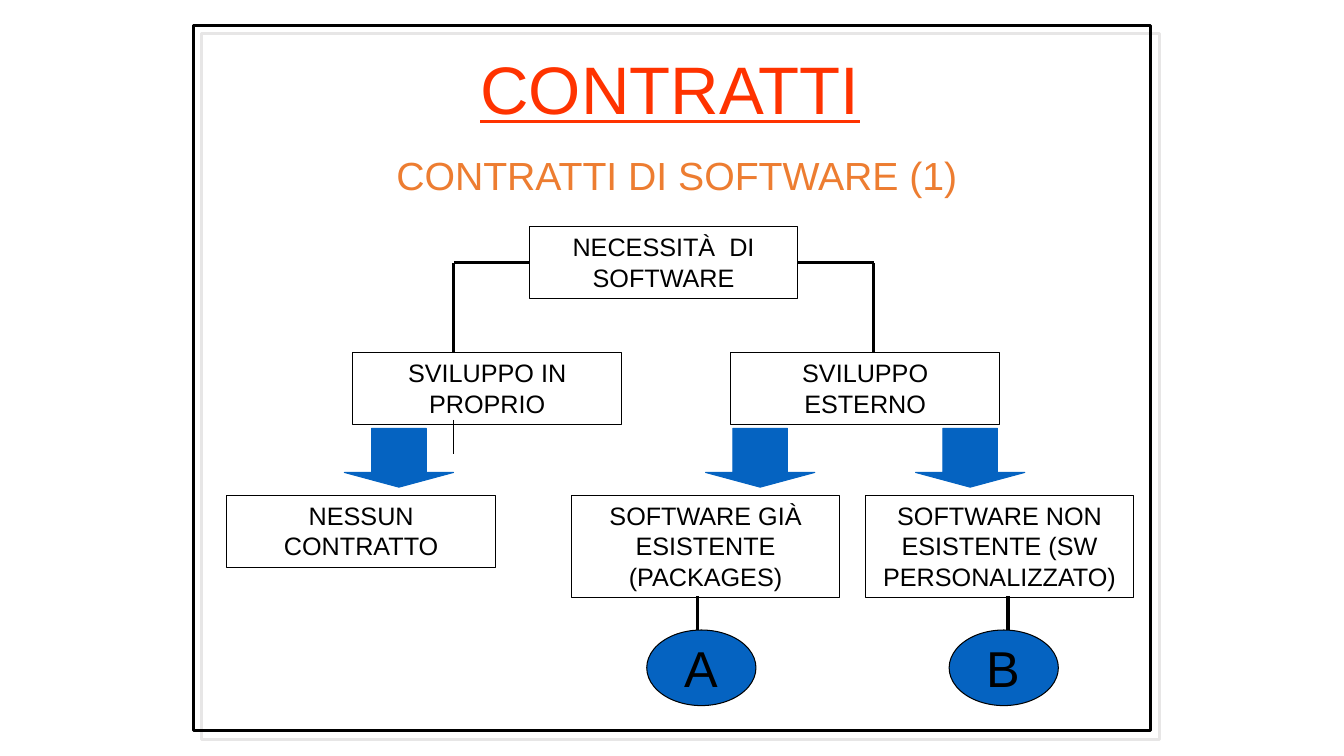
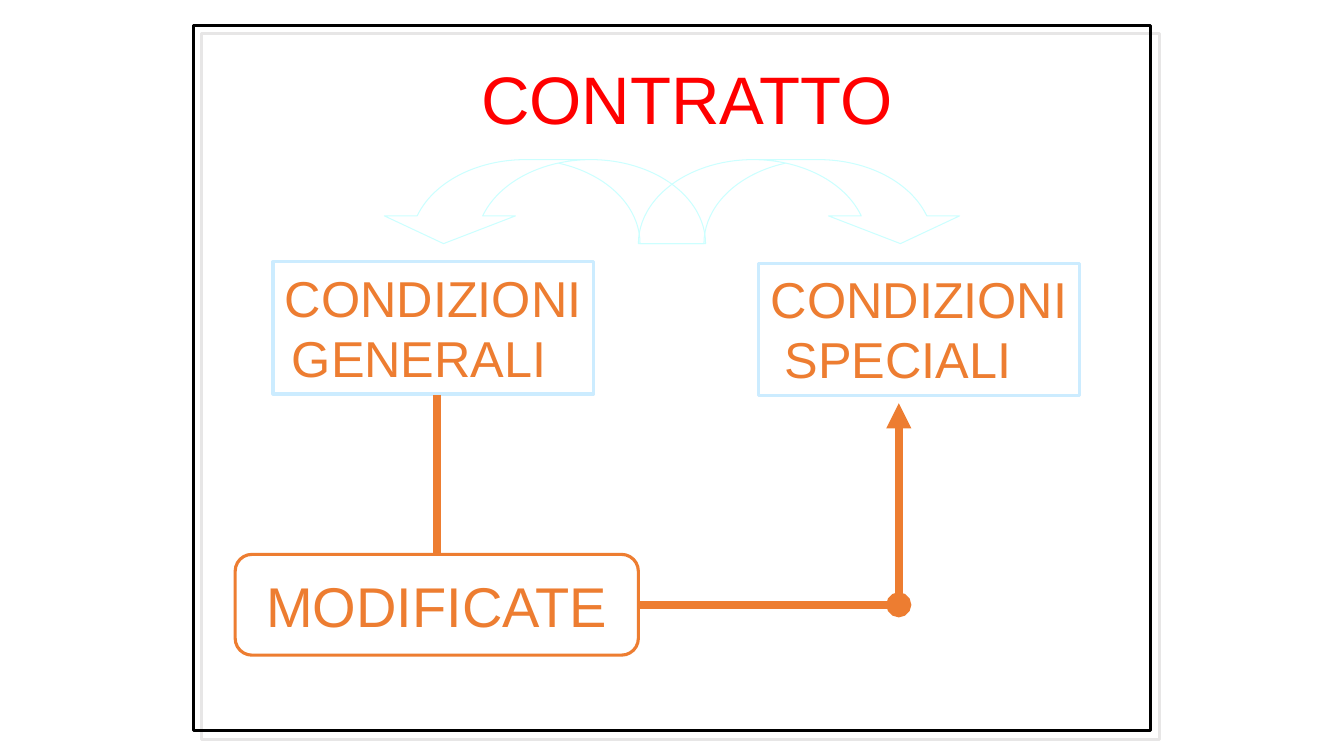
from lxml.etree import SubElement
from pptx import Presentation
from pptx.dml.color import RGBColor
from pptx.enum.shapes import MSO_CONNECTOR, MSO_SHAPE
from pptx.enum.text import MSO_ANCHOR, MSO_AUTO_SIZE, PP_ALIGN
from pptx.oxml.ns import qn
from pptx.util import Pt

FONT = "Arial"
BLACK = RGBColor(0, 0, 0)
RED = RGBColor(0xFF, 0, 0)
VERMILION = RGBColor(0xFF, 0x33, 0)
ORANGE = RGBColor(0xED, 0x7D, 0x31)
BLUE = RGBColor(0x05, 0x63, 0xC1)
PALE_BLUE = RGBColor(0xCC, 0xEC, 0xFF)
PALE_CYAN = RGBColor(0xCC, 0xFF, 0xFF)
SHADOW_GREY = "E7E6E6"

FRAME = (138, 18, 684, 504)

# Software contracts: boxes as (lines, left, top, height)
BOX_WIDTH = 192
ROOT = (["NECESSITÀ  DI SOFTWARE"], 378, 162, 51.5)
BOXES = [
    (["SVILUPPO IN PROPRIO"], 252, 252, 51.5),
    (["SVILUPPO", "ESTERNO"], 522, 252, 51.5),
    (["NESSUN CONTRATTO"], 162, 354, 51.5),
    (["SOFTWARE GIÀ ESISTENTE (PACKAGES)"], 408, 354, 73),
    (["SOFTWARE NON ESISTENTE (SW PERSONALIZZATO)"], 618, 354, 73),
]
BRANCHES = [(1, 324), (3, 624)]            # side of the root box, x of the drop
DOWN_ARROWS = [246, 504, 654]
MARKERS = [("A", 462, 498), ("B", 678, 720)]   # letter, left, x of its stem

# Contract conditions: second line, its indent, left, top
CONDITIONS = [("SPECIALI", 10, 542, 188), ("GENERALI", 5, 195, 187)]
CURVED_ARROWS = [(456, False), (270, True)]    # left, mirrored


def write(shape, lines, size, color, align=PP_ALIGN.CENTER, anchor=MSO_ANCHOR.TOP, underline=None):
    frame = shape.text_frame
    frame.word_wrap = True
    frame.auto_size = MSO_AUTO_SIZE.NONE
    frame.vertical_anchor = anchor
    for index, line in enumerate(lines):
        para = frame.add_paragraph() if index else frame.paragraphs[0]
        para.alignment = align
        span = para.add_run()
        span.text = line
        span.font.name = FONT
        span.font.size = Pt(size)
        span.font.color.rgb = color
        span.font.underline = underline


def add_shape(page, kind, place, line, weight=0.75, fill=None):
    shape = page.shapes.add_shape(kind, *map(Pt, place))
    shape.shadow.inherit = False
    if fill is None:
        shape.fill.background()
    else:
        shape.fill.solid()
        shape.fill.fore_color.rgb = fill
    shape.line.color.rgb = line
    shape.line.width = Pt(weight)
    return shape


def add_line(page, start, end, color=BLACK, weight=2.25):
    line = page.shapes.add_connector(MSO_CONNECTOR.STRAIGHT, *map(Pt, (*start, *end)))
    line.line.color.rgb = color
    line.line.width = Pt(weight)
    SubElement(line.element.spPr, qn("a:effectLst"))
    return line


def add_page(deck, title, place, color, underline=None):
    """Add a slide with the shadowed frame and its title."""
    page = deck.slides.add_slide(deck.slide_layouts[5])
    frame = add_shape(page, MSO_SHAPE.RECTANGLE, FRAME, BLACK, 2.25)
    effects = frame.element.spPr.find(qn("a:effectLst"))
    shadow = SubElement(effects, qn("a:outerShdw"), dist=str(Pt(8.5)),
                        dir="2700000", algn="ctr", rotWithShape="0")
    SubElement(shadow, qn("a:srgbClr"), val=SHADOW_GREY)
    heading = page.shapes.title
    heading.left, heading.top, heading.width, heading.height = map(Pt, place)
    write(heading, [title], 48, color, PP_ALIGN.LEFT, underline=underline)
    return page


def add_box(page, lines, left, top, height):
    box = add_shape(page, MSO_SHAPE.RECTANGLE, (left, top, BOX_WIDTH, height), BLACK)
    write(box, lines, 18, BLACK)
    return box


def build_software_contracts(deck):
    page = add_page(deck, "CONTRATTI", (336, 30, 330, 65), VERMILION, True)
    subtitle = page.shapes.add_textbox(*map(Pt, (276, 104.5, 423, 41)))
    write(subtitle, ["CONTRATTI DI SOFTWARE (1)"], 28, ORANGE, PP_ALIGN.LEFT)

    root = add_box(page, *ROOT)
    for box in BOXES:
        add_box(page, *box)
    branch_y = ROOT[2] + ROOT[3] / 2
    for side, x in BRANCHES:
        root_x = ROOT[1] + (BOX_WIDTH if side == 3 else 0)
        add_line(page, (root_x, branch_y), (x, branch_y)).begin_connect(root, side)
        add_line(page, (x, branch_y), (x, 252))
    add_line(page, (324, 300), (324, 324), weight=0.75)

    for left in DOWN_ARROWS:
        add_shape(page, MSO_SHAPE.DOWN_ARROW, (left, 306, 78, 42), BLUE, fill=BLUE).adjustments[1] = 0.25
    for letter, left, stem_x in MARKERS:
        marker = add_shape(page, MSO_SHAPE.OVAL, (left, 450, 78, 54), BLACK, fill=BLUE)
        write(marker, [letter], 36, BLACK, anchor=MSO_ANCHOR.MIDDLE)
        add_line(page, (stem_x, 426), (stem_x, 450))


def build_conditions(deck):
    page = add_page(deck, "CONTRATTO", (336.5, 37.5, 343, 65), RED)
    for second_line, indent, left, top in CONDITIONS:
        box = add_shape(page, MSO_SHAPE.RECTANGLE, (left, top, 229, 94.5), PALE_BLUE, 2.25)
        write(box, ["CONDIZIONI", second_line], 36, ORANGE, PP_ALIGN.LEFT)
        box.text_frame.margin_left = Pt(8.5)
        box.text_frame.paragraphs[1].runs[0].font.size = Pt(36)
        box.text_frame.paragraphs[1]._p.get_or_add_pPr().set("marL", str(Pt(indent)))

    changed = add_shape(page, MSO_SHAPE.ROUNDED_RECTANGLE, (168, 396, 288, 72), ORANGE, 2.25)
    write(changed, ["MODIFICATE"], 40, ORANGE, anchor=MSO_ANCHOR.MIDDLE)
    add_line(page, (312, 282), (312, 396), ORANGE, 6).end_connect(changed, 0)
    add_line(page, (456, 432), (642, 432), ORANGE, 6).begin_connect(changed, 3)
    rise = add_line(page, (642, 432), (642, 288), ORANGE, 6)
    stroke = rise.line._get_or_add_ln()
    SubElement(stroke, qn("a:headEnd"), type="oval")
    SubElement(stroke, qn("a:tailEnd"), type="triangle")

    for left, mirrored in CURVED_ARROWS:
        arrow = add_shape(page, MSO_SHAPE.CURVED_DOWN_ARROW, (left, 114, 234, 60), PALE_CYAN)
        for index, value in enumerate((0.78, 1.56, 0.33)):
            arrow.adjustments[index] = value
        if mirrored:
            arrow.element.spPr.get_or_add_xfrm().set("flipH", "1")


def main():
    deck = Presentation()
    deck.slide_width, deck.slide_height = Pt(960), Pt(540)
    build_software_contracts(deck)
    build_conditions(deck)
    deck.save("out.pptx")


if __name__ == "__main__":
    main()
